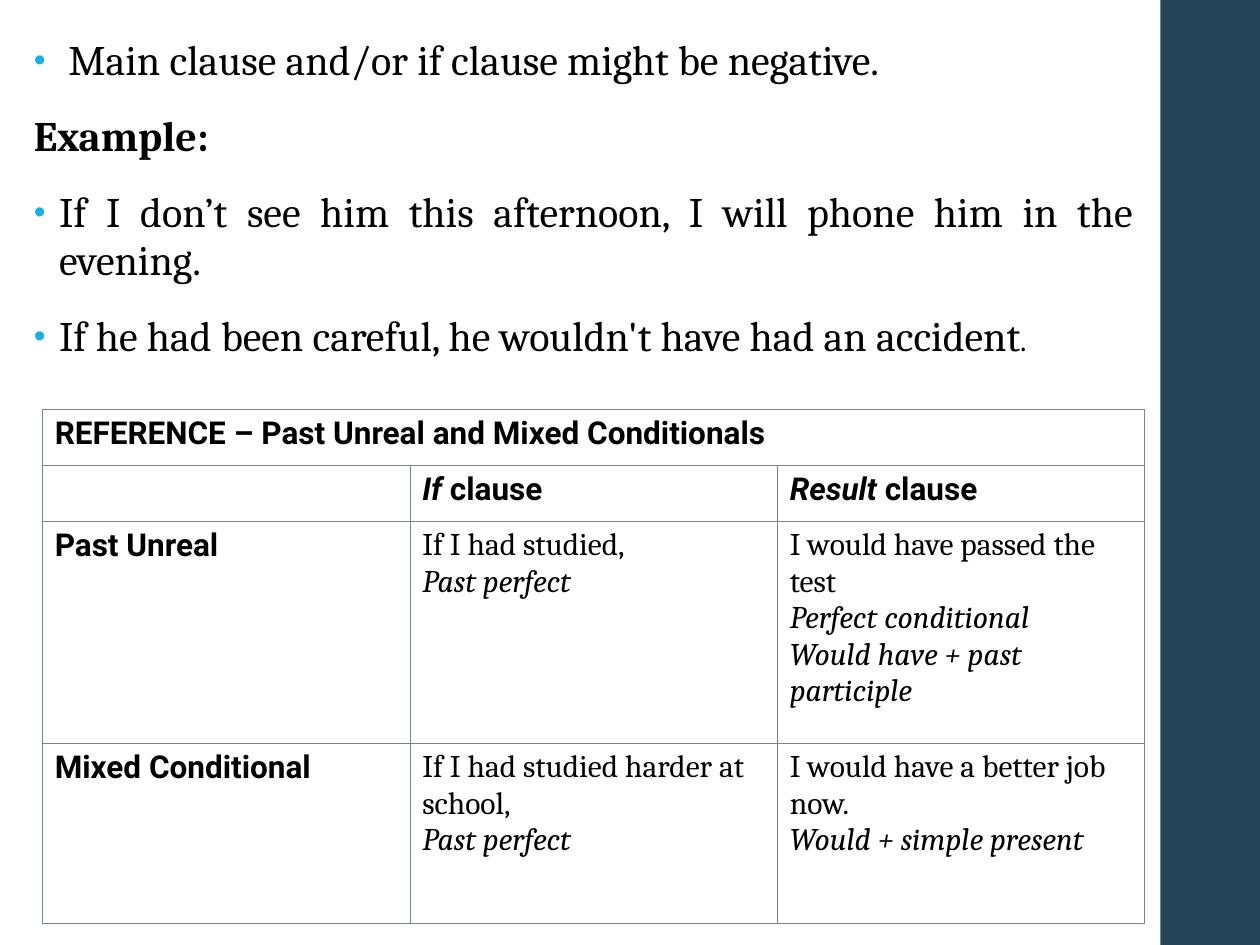
"""Build a grammar slide on negative clauses with a reference table of conditionals."""
import pptx
import pptx.util
import pptx.dml.color
import pptx.enum.shapes
import pptx.enum.text
import pptx.oxml.ns
import lxml.etree

COLORS = {"text": "000000", "paper": "FFFFFF", "sidebar": "264457",
          "bullet": "1CADE4", "border": "768492"}
SERIF, SANS = "Cambria", "Roboto"


def rgb(name):
    return pptx.dml.color.RGBColor.from_string(COLORS[name])


def write(paragraph, text, font=SERIF, size=18, bold=False, italic=False):
    run = paragraph.add_run()
    run.text = text
    run.font.name = font
    run.font.size = pptx.util.Pt(size)
    run.font.bold = bold
    run.font.italic = italic
    run.font.color.rgb = rgb("text")


deck = pptx.Presentation()
deck.slide_width = pptx.util.Inches(10)
deck.slide_height = pptx.util.Inches(7.5)
column, row = deck.slide_width // 100, deck.slide_height // 75
slide = deck.slides.add_slide(deck.slide_layouts[6])

sidebar_left = int(92.1 * column)
sidebar = slide.shapes.add_shape(
    pptx.enum.shapes.MSO_SHAPE.RECTANGLE, sidebar_left, 0,
    deck.slide_width - sidebar_left, deck.slide_height)
sidebar.shadow.inherit = False
sidebar.fill.solid()
sidebar.fill.fore_color.rgb = rgb("sidebar")
sidebar.line.fill.background()

notes = [
    (True, [(" Main clause and/or if clause might be negative.", {})]),
    (False, [("Example:", {"bold": True})]),
    (True, [("If I don’t see him this afternoon, I will phone him in the evening.", {})]),
    (True, [("If he had been careful, he wouldn't have had an accident", {}),
            (".", {"size": 18})]),
]
rules = slide.shapes.add_textbox(
    int(1.7 * column), int(2.5 * row), int(89.2 * column), int(69.2 * row)).text_frame
rules.word_wrap = True
for index, (bulleted, pieces) in enumerate(notes):
    paragraph = rules.add_paragraph() if index else rules.paragraphs[0]
    paragraph.alignment = pptx.enum.text.PP_ALIGN.JUSTIFY
    paragraph.line_spacing = 0.95
    paragraph.space_before = pptx.util.Pt(14 if index else 0)
    paragraph.space_after = pptx.util.Pt(2)
    properties = paragraph._p.get_or_add_pPr()
    properties.set("marL", str(2 * column))
    properties.set("indent", str(-2 * column))
    if bulleted:
        bullet_color = lxml.etree.SubElement(properties, pptx.oxml.ns.qn("a:buClr"))
        lxml.etree.SubElement(bullet_color, pptx.oxml.ns.qn("a:srgbClr"), val=COLORS["bullet"])
        lxml.etree.SubElement(properties, pptx.oxml.ns.qn("a:buSzPct"), val="80000")
        lxml.etree.SubElement(properties, pptx.oxml.ns.qn("a:buFont"), typeface="Arial")
        lxml.etree.SubElement(properties, pptx.oxml.ns.qn("a:buChar"), char="•")
    else:
        lxml.etree.SubElement(properties, pptx.oxml.ns.qn("a:buNone"))
    for text, style in pieces:
        write(paragraph, text, **{"size": 24, **style})

heading = {"font": SANS, "bold": True}
slanted_heading = {**heading, "italic": True}
form = {"italic": True}
conditionals = [
    [[[("REFERENCE – Past Unreal and Mixed Conditionals", heading)]], [], []],
    [[],
     [[("If ", slanted_heading), ("clause", heading)]],
     [[("Result ", slanted_heading), ("clause", heading)]]],
    [[[("Past Unreal", heading)]],
     [[("If I had studied,", {})], [("Past perfect", form)]],
     [[("I would have passed the test", {})], [("Perfect conditional", form)],
      [("Would have + past participle", form)]]],
    [[[("Mixed Conditional", heading)]],
     [[("If I had studied harder at school,", {})], [("Past perfect", form)]],
     [[("I would have a better job now.", {})], [("Would + simple present", form)]]],
]
row_heights = [4.44, 4.44, 17.6, 14.3]
reference = slide.shapes.add_table(
    len(row_heights), 3, int(3.35 * column), int(32.5 * row),
    int(87.5 * column), int(sum(row_heights) * row)).table
reference.first_row = False
reference.horz_banding = False
for table_row, height in zip(reference.rows, row_heights):
    table_row.height = int(height * row)

for row_index, entries in enumerate(conditionals):
    for column_index, lines in enumerate(entries):
        cell = reference.cell(row_index, column_index)
        for side in ("a:lnL", "a:lnR", "a:lnT", "a:lnB"):
            border = lxml.etree.SubElement(
                cell._tc.get_or_add_tcPr(), pptx.oxml.ns.qn(side),
                w=str(pptx.util.Pt(0.23)))
            border_fill = lxml.etree.SubElement(border, pptx.oxml.ns.qn("a:solidFill"))
            lxml.etree.SubElement(
                border_fill, pptx.oxml.ns.qn("a:srgbClr"), val=COLORS["border"])
        cell.fill.solid()
        cell.fill.fore_color.rgb = rgb("paper")
        for line_index, pieces in enumerate(lines):
            frame = cell.text_frame
            paragraph = frame.add_paragraph() if line_index else frame.paragraphs[0]
            for text, style in pieces:
                write(paragraph, text, **style)
reference.cell(0, 0).merge(reference.cell(0, 2))

deck.save("out.pptx")
